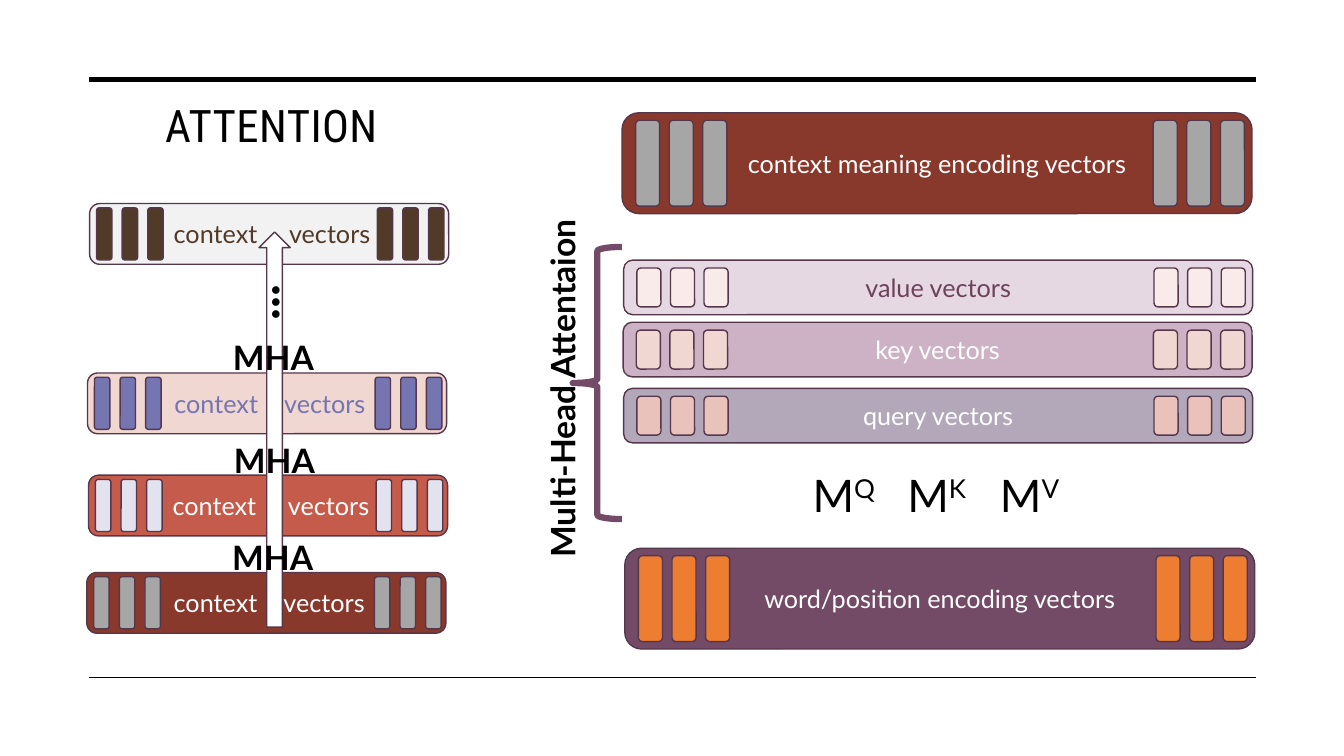
import pptx
import pptx.util
import pptx.dml.color
import pptx.enum.shapes
import pptx.enum.text
import pptx.oxml.ns
import lxml.etree

Pt = pptx.util.Pt
KIND = pptx.enum.shapes.MSO_SHAPE
ALIGN = pptx.enum.text.PP_ALIGN
ANCHOR = pptx.enum.text.MSO_ANCHOR
EDGE = "55374C"
WHITE = "FFFFFF"
BLACK = "000000"


def color(code):
    return pptx.dml.color.RGBColor.from_string(code)


def write(frame, text, size=18, ink=BLACK, font="Lato", bold=False,
          align=ALIGN.CENTER, anchor=ANCHOR.TOP):
    """Text is a string or a list of (string, run attributes)."""
    frame.word_wrap = True
    frame.vertical_anchor = anchor
    para = frame.paragraphs[0]
    para.alignment = align
    parts = [(text, {})] if isinstance(text, str) else text
    for words, extra in parts:
        run = para.add_run()
        run.text = words
        run.font.size = Pt(size)
        run.font.name = font
        run.font.bold = bold
        run.font.color.rgb = color(ink)
        for key, value in extra.items():
            run._r.get_or_add_rPr().set(key, str(value))


def gap(points):
    """A single space widened by letter spacing."""
    return " ", {"spc": points * 100}


def label(slide, box, text, turn=0, **style):
    item = slide.shapes.add_textbox(*map(Pt, box))
    item.rotation = turn
    write(item.text_frame, text, **style)


def shape(slide, kind, box, fill=None, edge=EDGE, width=1):
    item = slide.shapes.add_shape(kind, *map(Pt, box))
    item.shadow.inherit = False
    if fill:
        item.fill.solid()
        item.fill.fore_color.rgb = color(fill)
    else:
        item.fill.background()
    item.line.color.rgb = color(edge)
    item.line.width = Pt(width)
    return item


def rule(slide, y, width):
    line = slide.shapes.add_connector(
        pptx.enum.shapes.MSO_CONNECTOR.STRAIGHT, Pt(63.4), Pt(y), Pt(897.1), Pt(y))
    line.line.color.rgb = color(BLACK)
    line.line.width = Pt(width)
    lxml.etree.SubElement(line._element.spPr, pptx.oxml.ns.qn("a:effectLst"))


def band(slide, box, text, fill, ink, bar, sides, top, wide, step, shift=0):
    """A rounded band with three bars at each end."""
    x, y, w, h = box
    body = shape(slide, KIND.ROUNDED_RECTANGLE, box, fill)
    write(body.text_frame, text, ink=ink, anchor=ANCHOR.MIDDLE)
    body.text_frame.margin_left = Pt(7.2 + shift)
    for side in sides:
        for i in range(3):
            place = (x + side + i * step, y + top, wide, h - 2 * top)
            shape(slide, KIND.ROUNDED_RECTANGLE, place, bar)


def stack(slide, x, y):
    """Left region: context layers joined by one upward arrow."""
    layers = [  # dx, dy, fill, ink, bar, gap
        (0, 263.5, "89392C", WHITE, "A6A6A6", 14),
        (1.2, 194, "C55C4B", WHITE, "E3E3EF", 18),
        (0.5, 121, "F1D7D2", "7575B1", "7575B1", 14),
        (2, 0, "F2F2F2", "523A29", "523A29", 18),
    ]
    for dx, dy, fill, ink, bar, space in layers:
        text = [("context", {}), gap(space), ("vectors", {})]
        band(slide, (x + dx, y + dy, 256.5, 43.4), text, fill, ink, bar,
             sides=(5, 205.5), top=3.1, wide=11, step=18.3, shift=4)
    shape(slide, KIND.UP_ARROW, (x + 123, y + 20.3, 22.3, 282.2), WHITE)
    for dx, dy, *_ in layers[:3]:
        label(slide, (x + dx + 28.8, y + dy - 29, 208, 39.6), "MHA",
              size=24, bold=True)
    label(slide, (x + 33, y + 32, 208, 77.8), "...", turn=270, size=36, bold=True)


def heads(slide, x, y):
    """Right region: encodings around the value, key and query bands."""
    big = dict(sides=(9.7, 379.4), top=5.3, wide=17.2, step=24)
    small = dict(sides=(9.4, 378.8), top=5.6, wide=17.2, step=24)
    band(slide, (x + 2, y + 311, 450, 72), "word/position encoding vectors",
         "734B67", WHITE, "ED7D31", **big)
    rows = [
        (1.2, 196.8, "query vectors", "B2A8BA", WHITE, "E9C2BC"),
        (0.8, 149.6, "key vectors", "CCB2C4", WHITE, "F1D7D2"),
        (1.2, 105.2, "value vectors", "E6D8E2", "6C425A", "F8EBE9"),
    ]
    for dx, dy, *look in rows:
        band(slide, (x + dx, y + dy, 449.3, 39), *look, **small)
    up = {"baseline": 30000}
    label(slide, (x + 129, y + 249.8, 216, 46),
          [("M", {}), ("Q", up), gap(15), ("M", {}), ("K", up), gap(16),
           ("M", {}), ("V", up)], size=32, align=ALIGN.LEFT)
    band(slide, (x, y, 450, 72), "context meaning encoding vectors",
         "89392C", WHITE, "A6A6A6", **big)
    shape(slide, KIND.LEFT_BRACE, (x - 35.2, y + 95.8, 35.2, 194.4),
          edge="734B67", width=4.5)


def main():
    deck = pptx.Presentation()
    deck.slide_width, deck.slide_height = Pt(960), Pt(540)
    slide = deck.slides.add_slide(deck.slide_layouts[6])

    # Frame and headings
    rule(slide, 56.9, 3.5)
    rule(slide, 483.8, 1)
    label(slide, (110.9, 15.1, 322.6, 96.5), [("ATTENTION", {"spc": 30})],
          size=32, font="Roboto Condensed", align=ALIGN.LEFT, anchor=ANCHOR.BOTTOM)
    label(slide, (155.5, 257.8, 495.4, 39.6), "Multi-Head Attentaion",
          turn=270, size=24, bold=True)

    # Regions
    heads(slide, 444.3, 80.6)
    stack(slide, 62, 145.4)
    deck.save("out.pptx")


if __name__ == "__main__":
    main()
